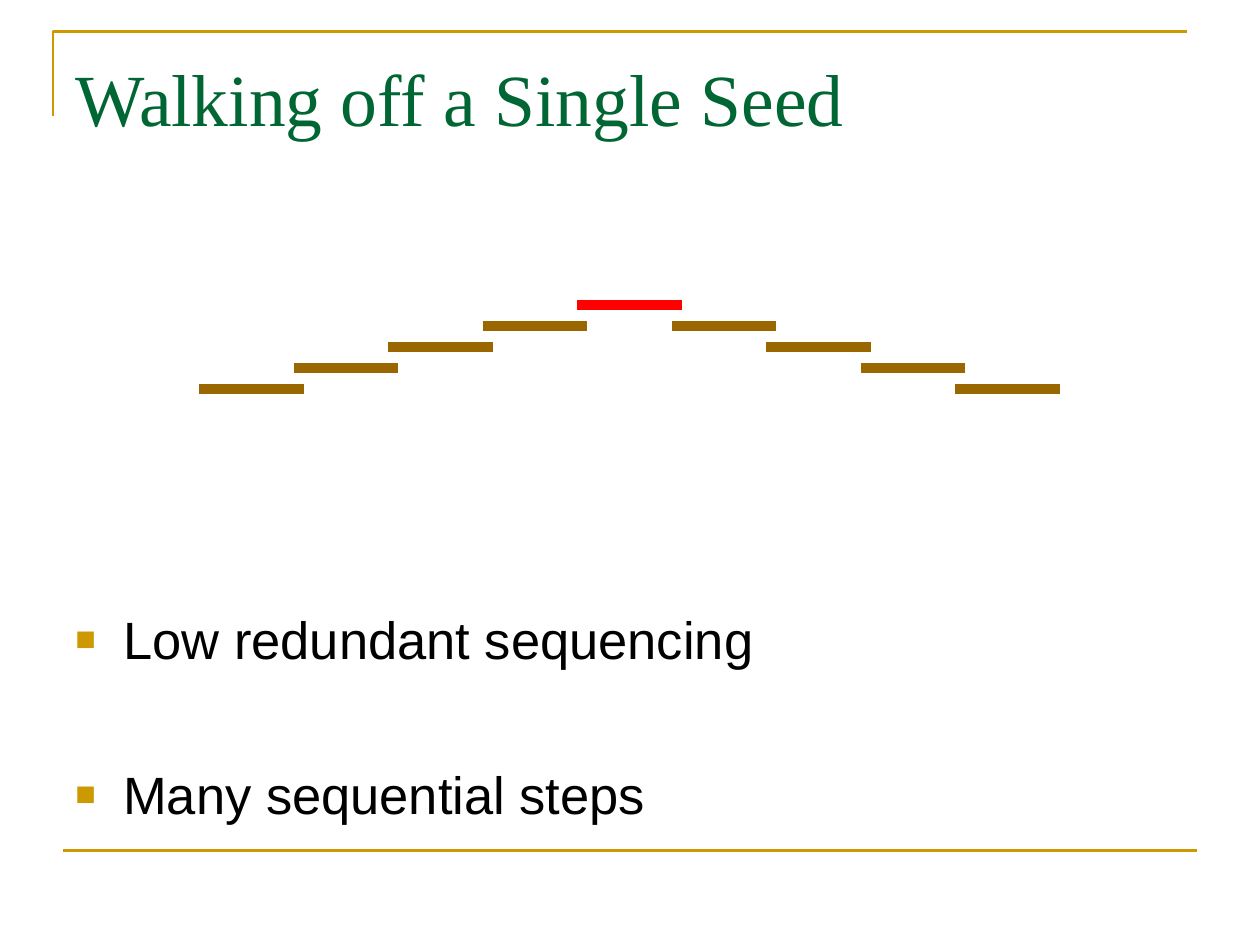
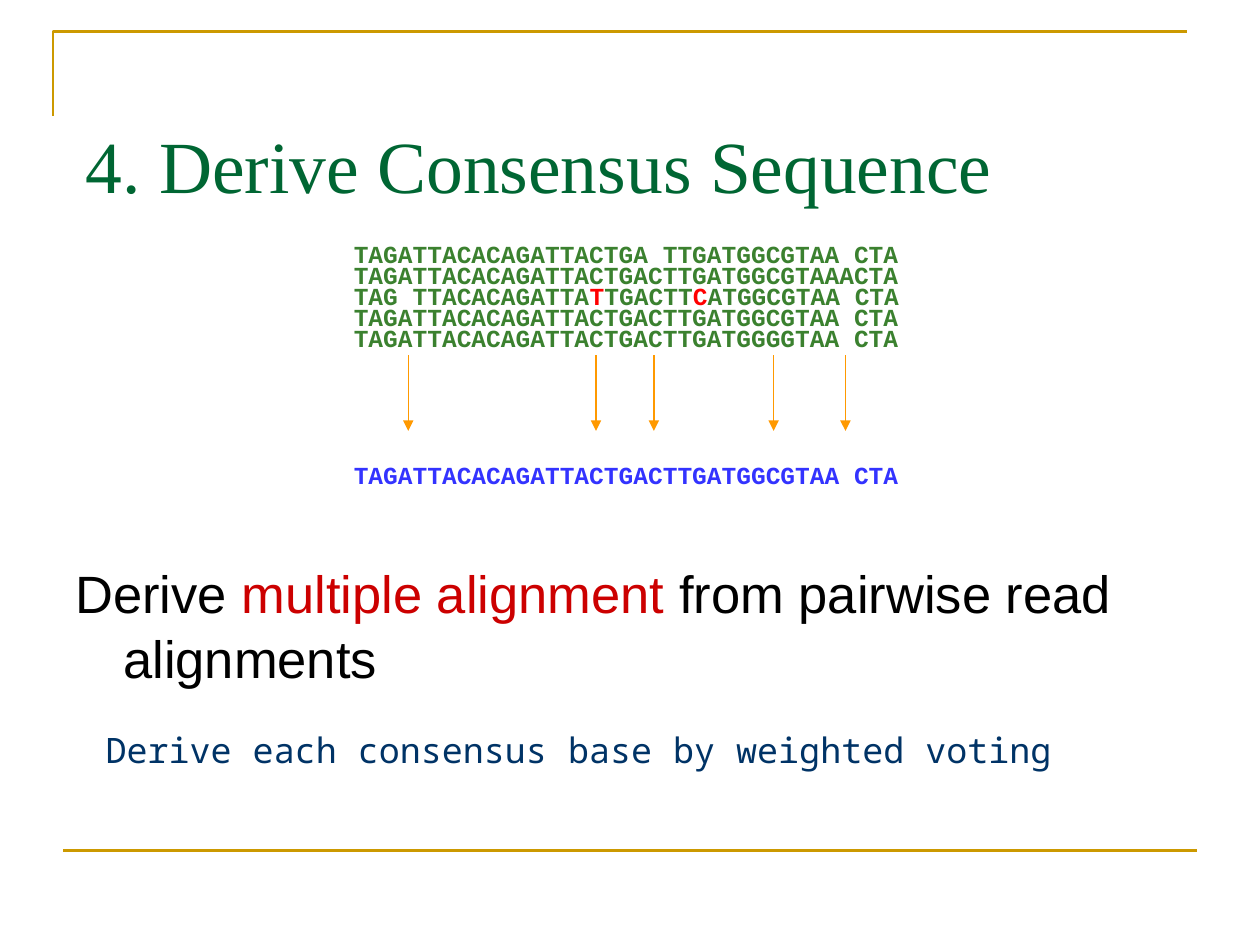
import dataclasses

import pptx
import pptx.dml.color
import pptx.enum.shapes
import pptx.enum.text
import pptx.oxml
import pptx.oxml.ns
import pptx.util

Inches = pptx.util.Inches
Pt = pptx.util.Pt
RGB = pptx.dml.color.RGBColor.from_string


@dataclasses.dataclass(frozen=True)
class Theme:
    gold: str = "CC9900"
    title: str = "006633"
    text: str = "000000"
    emphasis: str = "CC0000"
    note: str = "003366"
    seed: str = "FF0000"
    walk: str = "996600"
    read: str = "3B812F"
    mismatch: str = "FF0000"
    consensus: str = "3333FF"
    arrow: str = "FF9900"
    title_font: str = "Times New Roman"
    body_font: str = "Arial"
    read_font: str = "Courier New"
    note_font: str = "Noto Sans Mono"
    title_size: int = 42
    body_size: int = 30
    note_size: int = 20
    read_size: int = 14


def add_xml(parent, tag, **attrs):
    el = pptx.oxml.parse_xml(f"<a:{tag} {pptx.oxml.ns.nsdecls('a')}/>")
    for name, value in attrs.items():
        el.set(name, value)
    parent.append(el)
    return el


def write(p, runs, *, font, size, color, bold=False, space_before=0,
          indent=0, bullet=None, line_spacing=None):
    """Fill p with runs: a string, or a list of (text, color or None)."""
    pPr = p._p.get_or_add_pPr()
    if indent:
        pPr.set("marL", str(Inches(indent)))
        pPr.set("indent", str(-Inches(indent)))
    if bullet:
        add_xml(add_xml(pPr, "buClr"), "srgbClr", val=bullet)
        add_xml(pPr, "buSzPct", val="65000")
        add_xml(pPr, "buFont", typeface=font)
        add_xml(pPr, "buChar", char="■")
    p.alignment = pptx.enum.text.PP_ALIGN.LEFT
    p.space_before = Pt(space_before)
    if line_spacing:
        p.line_spacing = line_spacing
    for text, run_color in [(runs, None)] if isinstance(runs, str) else runs:
        r = p.add_run()
        r.text = text
        r.font.name = font
        r.font.size = Pt(size)
        r.font.bold = bold
        r.font.color.rgb = RGB(run_color or color)


class Deck:
    def __init__(self, theme):
        self.theme = theme
        self.prs = pptx.Presentation()
        self.prs.slide_width = Inches(10)
        self.prs.slide_height = Inches(7.5)
        self.s = None

    def slide(self, title, left, top):
        """Start a slide with the gold frame and a title at left, top."""
        t = self.theme
        self.s = self.prs.slides.add_slide(self.prs.slide_layouts[5])
        self.frame()
        sp = self.s.shapes.title
        self.place(sp, left, top, 9, 1.25)
        tf = self.frame_text(sp, 0.12)
        write(tf.paragraphs[0], title, font=t.title_font, size=t.title_size,
              color=t.title)

    def frame(self):
        fb = self.s.shapes.build_freeform(Inches(0.42), Inches(0.92))
        corner = [(Inches(0.42), Inches(0.25)), (Inches(9.42), Inches(0.25))]
        fb.add_line_segments(corner, close=False)
        sp = fb.convert_to_shape()
        sp.shadow.inherit = False
        sp.fill.background()
        sp.line.color.rgb = RGB(self.theme.gold)
        sp.line.width = Pt(1.5)
        self.line(0.5, 6.75, 9.5, 6.75, self.theme.gold, 1.5)

    @staticmethod
    def place(sp, left, top, width, height):
        sp.left, sp.top = Inches(left), Inches(top)
        sp.width, sp.height = Inches(width), Inches(height)

    @staticmethod
    def frame_text(sp, top_inset, wrap=True):
        tf = sp.text_frame
        tf.word_wrap = wrap
        tf.auto_size = pptx.enum.text.MSO_AUTO_SIZE.NONE
        tf.vertical_anchor = pptx.enum.text.MSO_ANCHOR.TOP
        tf.margin_left = tf.margin_right = Inches(0.1)
        tf.margin_top, tf.margin_bottom = Inches(top_inset), Inches(0.05)
        return tf

    def text(self, box, paragraphs, top_inset=0.08, wrap=True, gap=0, **fmt):
        """Add a text box; gap is the space in points between paragraphs."""
        sp = self.s.shapes.add_textbox(*map(Inches, box))
        tf = self.frame_text(sp, top_inset, wrap)
        for i, runs in enumerate(paragraphs):
            p = tf.add_paragraph() if i else tf.paragraphs[0]
            write(p, runs, space_before=gap if i else 0, **fmt)

    def body(self, box, paragraphs, **fmt):
        t = self.theme
        self.text(box, paragraphs, font=t.body_font, size=t.body_size,
                  color=t.text, indent=0.38, line_spacing=1.045, **fmt)

    def sequence(self, top, runs, color):
        t = self.theme
        self.text((2.71, top, 4.53, 0.34), [runs], wrap=False,
                  font=t.read_font, size=t.read_size, color=color, bold=True)

    def line(self, x1, y1, x2, y2, color, width, arrow=False):
        c = self.s.shapes.add_connector(
            pptx.enum.shapes.MSO_CONNECTOR.STRAIGHT,
            Inches(x1), Inches(y1), Inches(x2), Inches(y2))
        c.line.color.rgb = RGB(color)
        c.line.width = Pt(width)
        if arrow:
            add_xml(c.line._get_or_add_ln(), "tailEnd", type="triangle")
        add_xml(c._element.spPr, "effectLst")


def single_seed_slide(deck):
    t = deck.theme
    deck.slide("Walking off a Single Seed", 0.5, 0.3)
    deck.body((0.5, 4.14, 9, 2.57),
              ["Low redundant sequencing", "Many sequential steps"],
              top_inset=0.66, gap=51, bullet=t.gold)
    for step in range(-4, 5):
        x, y = 4.58 + 0.75 * step, 2.42 + abs(step) / 6
        deck.line(x, y, x + 0.83, y, t.walk if step else t.seed, 6)


def consensus_slide(deck):
    t = deck.theme
    deck.slide("4. Derive Consensus Sequence", 0.58, 0.83)
    deck.body((0.5, 4.35, 8.91, 1.43),
              [[("Derive ", None), ("multiple alignment", t.emphasis),
                (" from pairwise read alignments", None)]])
    reads = [
        "TAGATTACACAGATTACTGA TTGATGGCGTAA CTA",
        "TAGATTACACAGATTACTGACTTGATGGCGTAAACTA",
        [("TAG TTACACAGATTA", None), ("T", t.mismatch), ("TGACTT", None),
         ("C", t.mismatch), ("ATGGCGTAA CTA", None)],
        "TAGATTACACAGATTACTGACTTGATGGCGTAA CTA",
        "TAGATTACACAGATTACTGACTTGATGGGGTAA CTA",
    ]
    for i, read in enumerate(reads):
        deck.sequence(1.82 + i / 6, read, t.read)
    deck.sequence(3.57, "TAGATTACACAGATTACTGACTTGATGGCGTAA CTA", t.consensus)
    for x in (3.24, 4.73, 5.19, 6.14, 6.71):
        deck.line(x, 2.82, x, 3.42, t.arrow, 0.75, arrow=True)
    deck.text((0.74, 5.73, 8.5, 1.16),
              ["Derive each consensus base by weighted voting"],
              top_inset=0.05, font=t.note_font, size=t.note_size,
              color=t.note, indent=0.38)


def main():
    deck = Deck(Theme())
    single_seed_slide(deck)
    consensus_slide(deck)
    deck.prs.save("out.pptx")


if __name__ == "__main__":
    main()
